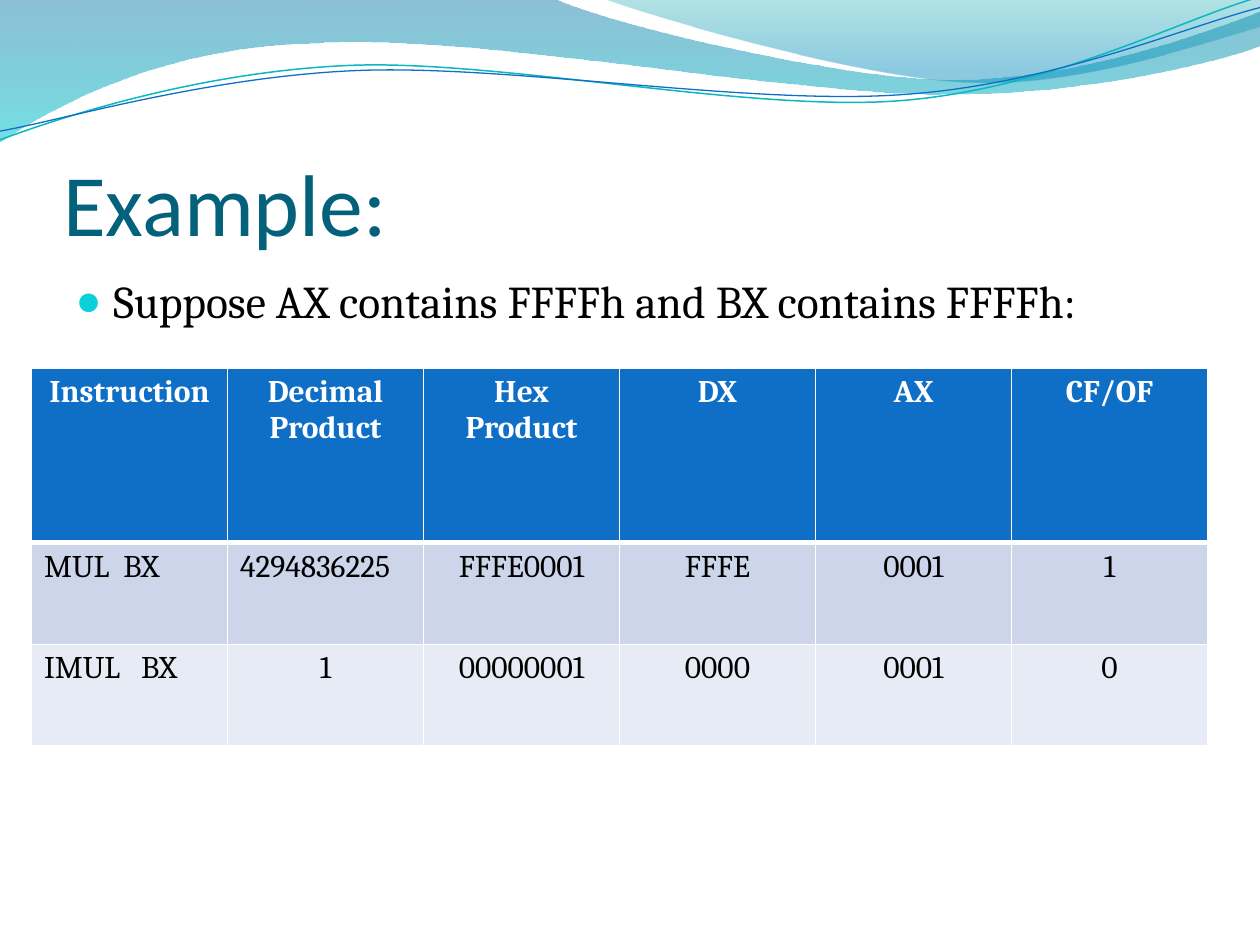
from dataclasses import dataclass
from math import cos, radians, sin

from lxml import etree
from pptx import Presentation
from pptx.dml.color import RGBColor
from pptx.enum.text import MSO_ANCHOR, MSO_AUTO_SIZE, PP_ALIGN
from pptx.oxml.ns import qn
from pptx.util import Pt

LEFT, MID = PP_ALIGN.LEFT, PP_ALIGN.CENTER
TOP, LOW = MSO_ANCHOR.TOP, MSO_ANCHOR.BOTTOM
FIXED = MSO_AUTO_SIZE.NONE


@dataclass(frozen=True)
class Theme:
    head: str = "Calibri"
    font: str = "Cambria"
    title: str = "04617B"
    ink: str = "000000"
    white: str = "FFFFFF"
    dot: str = "0BD0D9"
    blue: str = "0F6FC6"
    teal: str = "0AB8BF"
    bands: tuple = ("CCD5EA", "E7EBF5")
    big: int = 50
    text: int = 26
    small: int = 18


THEME = Theme()

# A pair of numbers is a point; six numbers are a curve.
# Gradient stops: position, colour, opacity in percent.
WAVES = [
    ([(0, 0), (316.8, -0.7),
      (342.7, 12.2, 478.1, 45.4, 545.8, 45.4),
      (614.2, 45.4, 689.8, 18.7, 720, 6.5), (720.7, 25.9),
      (707.8, 31.7, 626.4, 54.7, 537.1, 54),
      (447.8, 54, 275, 20.2, 185, 24.5),
      (92.9, 25.9, 33.1, 59.8, -0.7, 81.4)],
     [(0, "0074A1", 45), (1, "00C6CF", 55)]),
    ([(344.9, -0.7),
      (366.5, 7.9, 491, 44.6, 553.7, 46.8),
      (616.3, 49.7, 691.9, 23, 720, 15.1), (720, 0)],
     [(0, "00A1A9", 30), (0.8, "008BBF", 45)]),
]
# Steps, colour, width
LINES = [
    ([(0, 79.9),
      (34.6, 67, 113.8, 41, 199.4, 37.4),
      (284.4, 33.8, 427, 64.1, 513.4, 57.6),
      (599.8, 51.1, 675.4, 10.8, 718.6, -1.4)], THEME.teal, 0.85),
    ([(0, 74.9),
      (33.8, 69.1, 118.1, 43.9, 203.8, 40.3),
      (290.2, 36.7, 429.8, 60.5, 516.2, 54),
      (601.9, 48.2, 677.5, 15.1, 720, 4.3)], THEME.blue, 0.75),
]
TILT = -2.7  # degrees by which the thin lines are turned
ROWS = [
    ["Instruction", "Decimal Product", "Hex Product", "DX", "AX", "CF/OF"],
    ["MUL  BX", "4294836225", "FFFE0001", "FFFE", "0001", "1"],
    ["IMUL   BX", "1", "00000001", "0000", "0001", "0"],
]
LEFT_CELLS = {(1, 0), (1, 1), (2, 0)}
HEIGHTS = [100, 58, 58]
EDGES = {"a:lnL": 1, "a:lnR": 1, "a:lnT": 1, "a:lnB": 3}


def rgb(code):
    return RGBColor.from_string(code)


def write(frame, text, font=THEME.font, size=THEME.small, color=THEME.ink,
          bold=False, align=LEFT):
    para = frame.paragraphs[0]
    para.alignment = align
    para.space_before = Pt(0)
    run = para.add_run()
    run.text = text
    run.font.name = font
    run.font.size = Pt(size)
    run.font.bold = bold
    run.font.color.rgb = rgb(color)


def turn(spots, angle):
    """Turn points clockwise about the middle of the top band."""
    midx, midy = 359.3, 41.9
    co, si = cos(radians(angle)), sin(radians(angle))
    return [(midx + (x - midx) * co - (y - midy) * si,
             midy + (x - midx) * si + (y - midy) * co) for x, y in spots]


def draw(slide, box, steps, close=False, tilt=0):
    left, top = box[:2]
    fine = 100  # drawing units per point
    flat = [pair for step in steps for pair in zip(step[::2], step[1::2])]
    spots = [((left + x) * fine, (top + y) * fine)
             for x, y in turn(flat, -tilt)]
    pen = slide.shapes.build_freeform(*spots[0], scale=Pt(1) / fine)
    pen.add_line_segments(spots[1:], close=close)
    shape = pen.convert_to_shape()
    shape.shadow.inherit = False
    shape.rotation = tilt
    # Join each three points of a curve into one Bezier step
    parts = iter(list(shape._element.iter(qn("a:lnTo"))))
    for step in steps[1:]:
        first = next(parts)
        if len(step) == 6:
            first.tag
            curve = etree.Element(qn("a:cubicBezTo"))
            first.addprevious(curve)
            for part in (first, next(parts), next(parts)):
                curve.append(part[0])
                part.getparent().remove(part)
    return shape


def add_waves(slide, box):
    # Shaded bands
    for steps, stops in WAVES:
        shape = draw(slide, box, steps, close=True)
        shape.line.fill.background()
        shape.fill.gradient()
        shape.fill.gradient_angle = 270
        for stop, (place, color, _) in zip(shape.fill.gradient_stops, stops):
            stop.position = place
            stop.color.rgb = rgb(color)
        marks = shape._element.spPr.iter(qn("a:srgbClr"))
        for mark, (_, _, alpha) in zip(list(marks), stops):
            etree.SubElement(mark, qn("a:alpha"), val=str(alpha * 1000))
    # Thin lines
    for steps, color, width in LINES:
        shape = draw(slide, box, steps, tilt=TILT)
        shape.fill.background()
        shape.line.color.rgb = rgb(color)
        shape.line.width = Pt(width)


def place(slide, holder, box, anchor):
    holder.left, holder.top, holder.width, holder.height = map(Pt, box)
    frame = holder.text_frame
    frame.auto_size = FIXED
    frame.word_wrap = True
    frame.vertical_anchor = anchor
    slide.shapes._spTree.append(holder._element)  # in front of the waves
    return frame


def add_title(slide, box):
    frame = place(slide, slide.shapes.title, box, LOW)
    frame.margin_left = frame.margin_right = frame.margin_bottom = 0
    write(frame, "Example:", font=THEME.head, size=THEME.big,
          color=THEME.title)


def add_list(slide, box):
    frame = place(slide, slide.placeholders[1], box, TOP)
    write(frame, "Suppose AX contains FFFFh and BX contains FFFFh:",
          size=THEME.text)
    # Round bullet with a hanging indent
    props = frame.paragraphs[0]._p.get_or_add_pPr()
    props.set("marL", str(Pt(21.6)))
    props.set("indent", str(Pt(-21.6)))
    tint = etree.SubElement(props, qn("a:buClr"))
    etree.SubElement(tint, qn("a:srgbClr"), val=THEME.dot)
    etree.SubElement(props, qn("a:buSzPct"), val="95000")
    etree.SubElement(props, qn("a:buChar"), char="●")


def add_edges(cell):
    props = cell._tc.get_or_add_tcPr()
    for name, width in EDGES.items():
        edge = etree.SubElement(props, qn(name), w=str(Pt(width)))
        fill = etree.SubElement(edge, qn("a:solidFill"))
        etree.SubElement(fill, qn("a:srgbClr"), val=THEME.white)


def add_grid(slide, box):
    grid = slide.shapes.add_table(len(ROWS), len(ROWS[0]),
                                  *map(Pt, box)).table
    for row, high in zip(grid.rows, HEIGHTS):
        row.height = Pt(high)
    for r, texts in enumerate(ROWS):
        head = r == 0
        fill = THEME.blue if head else THEME.bands[r - 1]
        for c, text in enumerate(texts):
            cell = grid.cell(r, c)
            if head:
                add_edges(cell)
            cell.fill.solid()
            cell.fill.fore_color.rgb = rgb(fill)
            write(cell.text_frame, text, bold=head,
                  color=THEME.white if head else THEME.ink,
                  align=LEFT if (r, c) in LEFT_CELLS else MID)


def main():
    deck = Presentation()
    deck.slide_width, deck.slide_height = Pt(720), Pt(540)
    slide = deck.slides.add_slide(deck.slide_layouts[1])
    add_waves(slide, (0, 0, 720, 82))
    add_title(slide, (36, 55.4, 648, 90))
    add_list(slide, (36, 152.6, 648, 345.6))
    add_grid(slide, (18, 210.2, 672, sum(HEIGHTS)))
    deck.save("out.pptx")


if __name__ == "__main__":
    main()
